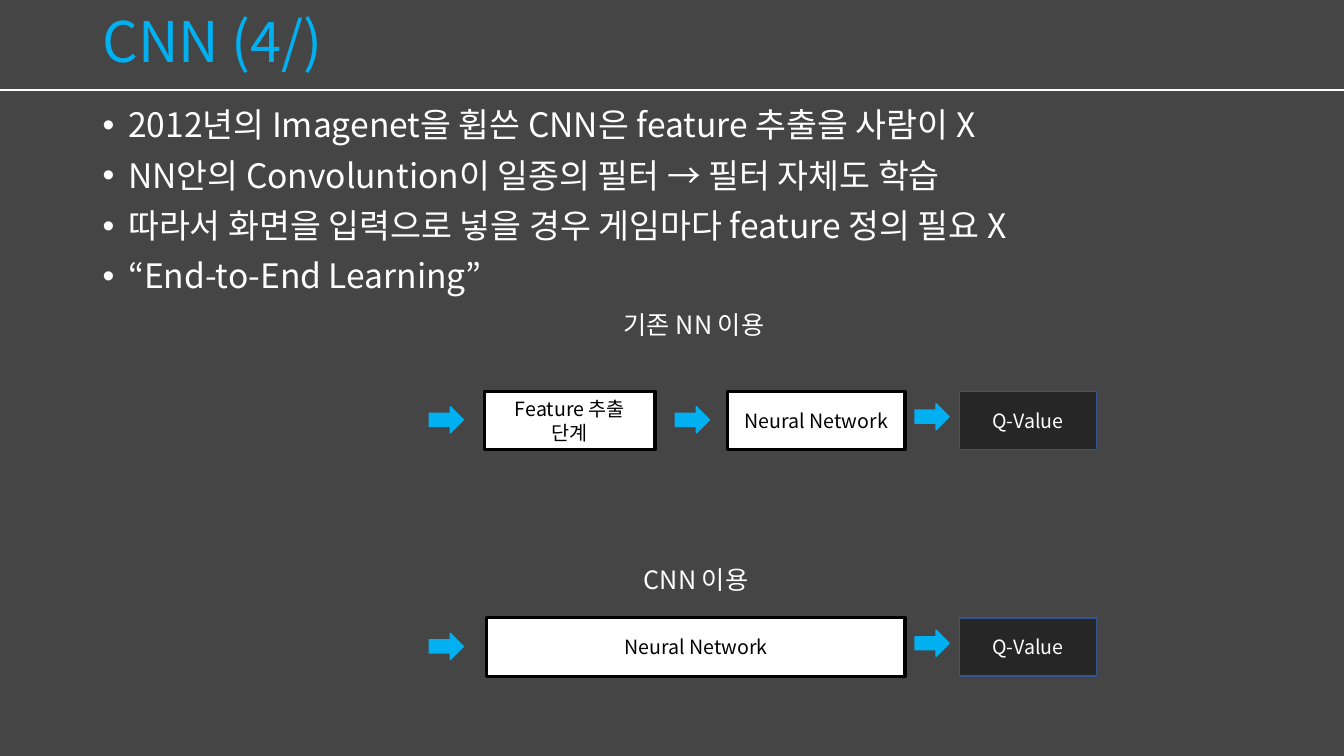
from lxml.etree import SubElement
from pptx import Presentation
from pptx.dml.color import RGBColor
from pptx.enum.shapes import MSO_CONNECTOR, MSO_SHAPE
from pptx.enum.text import MSO_ANCHOR, PP_ALIGN
from pptx.oxml.ns import qn
from pptx.util import Cm, Pt

FONT = "Noto Sans CJK KR"
COLORS = {
    "background": "454545",
    "accent": "00B0F0",
    "white": "FFFFFF",
    "black": "000000",
    "result": "262626",
    "result_border": "325491",
}
WIDTH, HEIGHT = 33.87, 19.05
MARGIN, CONTENT_WIDTH = 2.34, 29.21
HEADER_HEIGHT = 2.26
ROW_LEFT, ROW_HEIGHT = 10.82, 1.47
ARROW_WIDTH, ARROW_HEIGHT = 0.86, 0.66

BULLETS = [
    "2012년의 Imagenet을 휩쓴 CNN은 feature 추출을 사람이 X",
    "NN안의 Convoluntion이 일종의 필터 → 필터 자체도 학습",
    "따라서 화면을 입력으로 넣을 경우 게임마다 feature 정의 필요 X",
    "“End-to-End Learning”",
]


def color(name):
    return RGBColor.from_string(COLORS[name])


def add_span(para, text, size, color_name):
    span = para.add_run()
    span.text = text
    span.font.size = Pt(size)
    span.font.name = FONT
    span.font.color.rgb = color(color_name)
    SubElement(span.font._element, qn("a:ea"), typeface=FONT)


def add_text_box(page, left, top, width, height):
    box = page.shapes.add_textbox(Cm(left), Cm(top), Cm(width), Cm(height))
    box.text_frame.word_wrap = True
    return box.text_frame


def add_block(page, preset, left, top, width, height, fill, border, border_width):
    block = page.shapes.add_shape(preset, Cm(left), Cm(top), Cm(width), Cm(height))
    block.shadow.inherit = False
    block.fill.solid()
    block.fill.fore_color.rgb = color(fill)
    block.line.color.rgb = color(border)
    block.line.width = Pt(border_width)
    return block


def add_arrow(page, left, top):
    add_block(page, MSO_SHAPE.RIGHT_ARROW, left, top, ARROW_WIDTH, ARROW_HEIGHT,
              "accent", "accent", 1)


def add_stage(page, left, top, width, text, result=False):
    style = ("result", "result_border", 1) if result else ("white", "black", 2.25)
    stage = add_block(page, MSO_SHAPE.RECTANGLE, left, top, width, ROW_HEIGHT, *style)
    stage.text_frame.vertical_anchor = MSO_ANCHOR.MIDDLE
    para = stage.text_frame.paragraphs[0]
    para.alignment = PP_ALIGN.CENTER
    add_span(para, text, 14, "white" if result else "black")


def add_header(page, left, top, width, height):
    # Rule across the full page
    rule = page.shapes.add_connector(
        MSO_CONNECTOR.STRAIGHT, 0, Cm(top + height), Cm(WIDTH), Cm(top + height))
    rule.line.color.rgb = color("white")
    rule.line.width = Pt(1.5)
    SubElement(rule._element.spPr, qn("a:effectLst"))
    # Title
    frame = add_text_box(page, left, top, width, height)
    frame.vertical_anchor = MSO_ANCHOR.MIDDLE
    para = frame.paragraphs[0]
    para.line_spacing = 0.9
    add_span(para, "CNN (4/)", 40, "accent")


def add_bullets(page, left, top, width, height):
    frame = add_text_box(page, left, top, width, height)
    for index, text in enumerate(BULLETS):
        para = frame.add_paragraph() if index else frame.paragraphs[0]
        para.line_spacing = 0.9
        if index:
            para.space_before = Pt(10)
        properties = para._p.get_or_add_pPr()
        properties.set("marL", str(Cm(0.64)))
        properties.set("indent", str(-Cm(0.64)))
        SubElement(properties, qn("a:buFont"), typeface="Arial")
        SubElement(properties, qn("a:buChar"), char="•")
        add_span(para, text, 24, "white")


def add_flow(page, left, top, caption, caption_left, caption_rise, stages):
    # Caption above the row
    frame = add_text_box(page, left + caption_left, top - caption_rise, 6.68, 1.02)
    para = frame.paragraphs[0]
    para.alignment = PP_ALIGN.CENTER
    add_span(para, caption, 18, "white")
    # Each stage follows its arrow
    for arrow_left, stage_left, width, text in stages:
        add_arrow(page, left + arrow_left, top + 0.39)
        add_stage(page, left + stage_left, top, width, text)
    # Result
    add_arrow(page, left + 12.24, top + 0.31)
    add_stage(page, left + 13.36, top, 3.45, "Q-Value", result=True)


def main():
    deck = Presentation()
    deck.slide_width, deck.slide_height = Cm(WIDTH), Cm(HEIGHT)
    page = deck.slides.add_slide(deck.slide_layouts[6])
    page.background.fill.solid()
    page.background.fill.fore_color.rgb = color("background")

    add_header(page, MARGIN, 0, CONTENT_WIDTH, HEADER_HEIGHT)
    add_bullets(page, MARGIN, 2.62, CONTENT_WIDTH, 15.04)
    add_flow(page, ROW_LEFT, 9.86, "기존 NN 이용", 3.33, 2.19, [
        (0, 1.4, 4.29, "Feature 추출 단계"),
        (6.2, 7.52, 4.47, "Neural Network"),
    ])
    add_flow(page, ROW_LEFT, 15.57, "CNN 이용", 3.38, 1.47, [
        (0, 1.45, 10.54, "Neural Network"),
    ])
    deck.save("out.pptx")


if __name__ == "__main__":
    main()
